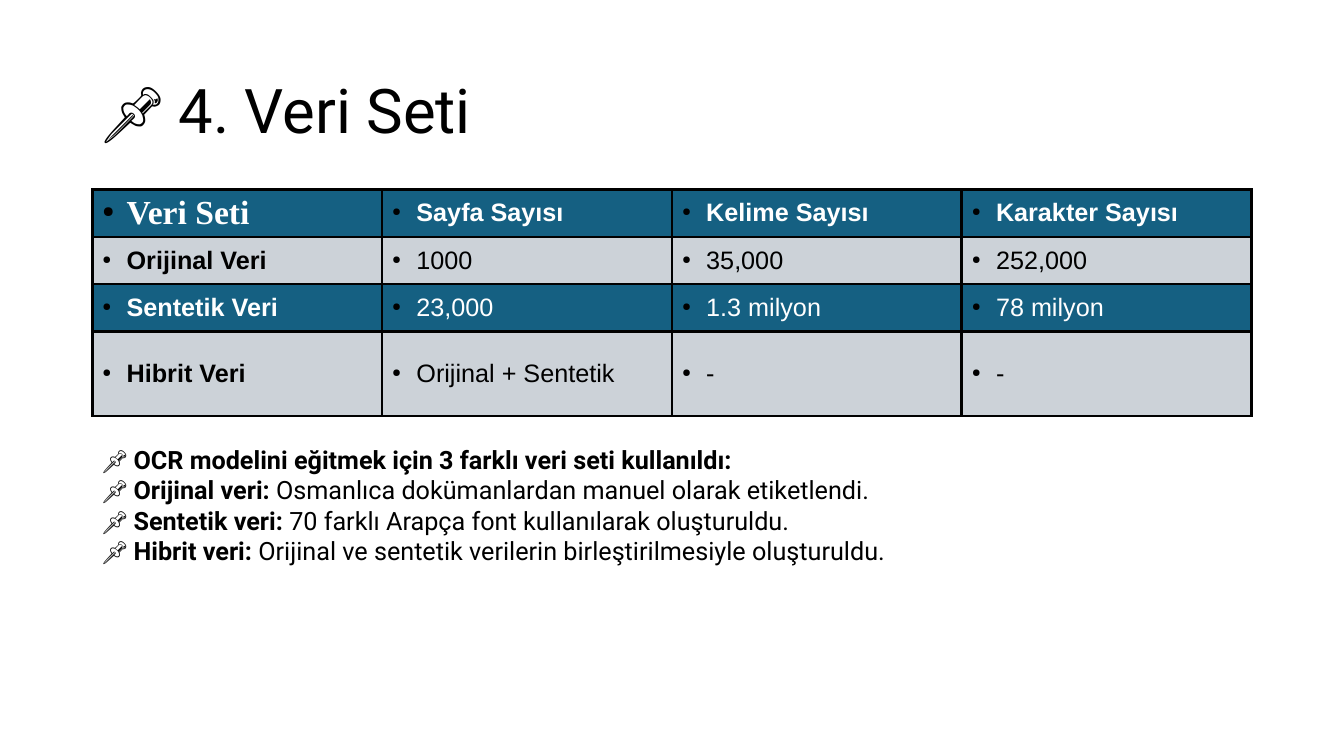
import pptx
import pptx.dml.color
import pptx.enum.text
import pptx.oxml
import pptx.oxml.ns
import pptx.util
from pptx.util import Pt

BLACK, WHITE, BLUE, GREY = "000000", "FFFFFF", "156082", "CCD2D8"
PIN = "📌 "
ANCHOR = pptx.enum.text.MSO_ANCHOR
ALIGN = pptx.enum.text.PP_ALIGN
AUTO_SIZE = pptx.enum.text.MSO_AUTO_SIZE

ROWS = [
    ["Veri Seti", "Sayfa Sayısı", "Kelime Sayısı", "Karakter Sayısı"],
    ["Orijinal Veri", "1000", "35,000", "252,000"],
    ["Sentetik Veri", "23,000", "1.3 milyon", "78 milyon"],
    ["Hibrit Veri", "Orijinal + Sentetik", "-", "-"],
]
ROW_HEIGHTS = [33.84, 33.84, 33.84, 60.48]
NOTES = [
    ("OCR modelini eğitmek için 3 farklı veri seti kullanıldı:", ""),
    ("Orijinal veri:", " Osmanlıca dokümanlardan manuel olarak etiketlendi."),
    ("Sentetik veri:", " 70 farklı Arapça font kullanılarak oluşturuldu."),
    ("Hibrit veri:", " Orijinal ve sentetik verilerin birleştirilmesiyle oluşturuldu."),
]


def colour(value):
    """Return the colour for a hex string."""
    return pptx.dml.color.RGBColor.from_string(value)


def set_values(target, values):
    """Set each attribute named in a dict of format values."""
    for name, value in values.items():
        setattr(target, name, value)


def add_run(paragraph, text, size, font_name, font_colour, bold=False):
    """Add one formatted run to a paragraph."""
    run = paragraph.add_run()
    run.text = text
    set_values(run.font, {"size": Pt(size), "name": font_name, "bold": bold})
    run.font.color.rgb = colour(font_colour)


def append_xml(parent, tag, attributes, content=""):
    """Append a drawing element to a parent element."""
    namespace = pptx.oxml.ns.nsdecls("a")
    parent.append(pptx.oxml.parse_xml(
        f"<a:{tag} {namespace} {attributes}>{content}</a:{tag}>"))


def add_bullet(paragraph):
    """Give a paragraph a small black bullet with a hanging indent."""
    properties = paragraph._p.get_or_add_pPr()
    properties.set("marL", str(Pt(17.28)))
    properties.set("indent", str(Pt(-17.28)))
    append_xml(properties, "buClr", "", f'<a:srgbClr val="{BLACK}"/>')
    append_xml(properties, "buSzPct", 'val="45000"')
    append_xml(properties, "buChar", 'char="●"')


def add_borders(cell):
    """Draw a black line on the four sides of a cell."""
    properties = cell._tc.get_or_add_tcPr()
    fill = f'<a:solidFill><a:srgbClr val="{BLACK}"/></a:solidFill>'
    for side in ("lnL", "lnR", "lnT", "lnB"):
        append_xml(properties, side, f'w="{Pt(1.98)}"', fill)


def add_title(slide, left, top, width, height):
    """Place the slide title in its box."""
    title = slide.shapes.title
    set_values(title, {"left": Pt(left), "top": Pt(top),
                       "width": Pt(width), "height": Pt(height)})
    set_values(title.text_frame, {"vertical_anchor": ANCHOR.MIDDLE,
                                  "word_wrap": True,
                                  "auto_size": AUTO_SIZE.NONE})
    paragraph = title.text_frame.paragraphs[0]
    set_values(paragraph, {"alignment": ALIGN.LEFT, "line_spacing": 0.9})
    add_run(paragraph, PIN + "4. Veri Seti", 44, "Roboto", BLACK)


def add_data_table(slide, left, top, width, height):
    """Place the data set table in its box, with alternating row colours."""
    columns = len(ROWS[0])
    table = slide.shapes.add_table(len(ROWS), columns, Pt(left), Pt(top),
                                   Pt(width), Pt(height)).table
    for column in table.columns:
        column.width = Pt(width / columns)
    for row_index, texts in enumerate(ROWS):
        table.rows[row_index].height = Pt(ROW_HEIGHTS[row_index])
        fill, ink = ((BLUE, WHITE), (GREY, BLACK))[row_index % 2]
        for column_index, text in enumerate(texts):
            cell = table.cell(row_index, column_index)
            set_values(cell, {"vertical_anchor": ANCHOR.MIDDLE,
                              "margin_top": Pt(2), "margin_bottom": Pt(2)})
            add_borders(cell)
            cell.fill.solid()
            cell.fill.fore_color.rgb = colour(fill)
            paragraph = cell.text_frame.paragraphs[0]
            add_bullet(paragraph)
            is_corner = row_index == column_index == 0
            size, font_name = (24, "Times New Roman") if is_corner else (18, "Arial")
            is_heading = row_index == 0 or column_index == 0
            add_run(paragraph, text, size, font_name, ink, is_heading)


def add_notes(slide, left, top, width, height):
    """Place the pinned remarks in their box."""
    box = slide.shapes.add_textbox(Pt(left), Pt(top), Pt(width), Pt(height))
    frame = box.text_frame
    set_values(frame, {"word_wrap": True,
                       "auto_size": AUTO_SIZE.SHAPE_TO_FIT_TEXT})
    for index, (label, description) in enumerate(NOTES):
        paragraph = frame.add_paragraph() if index else frame.paragraphs[0]
        for text, bold in ((PIN, False), (label, True), (description, False)):
            if text:
                add_run(paragraph, text, 18, "Roboto", BLACK, bold)


def main():
    """Build and save the presentation."""
    presentation = pptx.Presentation()
    set_values(presentation, {"slide_width": Pt(960), "slide_height": Pt(540)})
    slide = presentation.slides.add_slide(presentation.slide_layouts[5])
    add_title(slide, 66, 28.8, 828, 104.4)
    add_data_table(slide, 66, 135.36, 828, sum(ROW_HEIGHTS))
    add_notes(slide, 66, 313.92, 763.2, 94.32)
    presentation.save("out.pptx")


if __name__ == "__main__":
    main()
